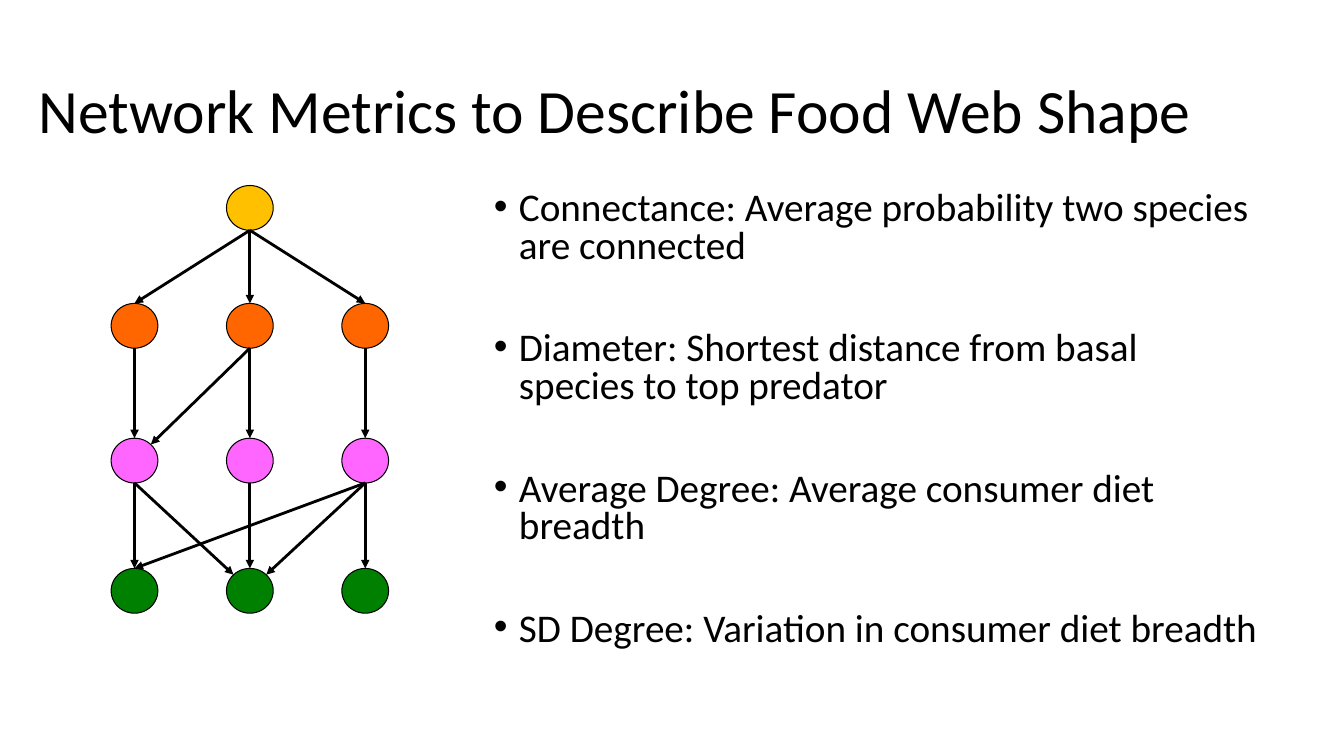
"""Build a slide on network metrics with a food web diagram."""
from lxml import etree
from pptx import Presentation
from pptx.dml.color import RGBColor
from pptx.enum.shapes import MSO_CONNECTOR, MSO_SHAPE
from pptx.enum.text import MSO_ANCHOR, MSO_AUTO_SIZE, PP_ALIGN
from pptx.oxml.ns import qn
from pptx.util import Pt

OVAL = MSO_SHAPE.OVAL
LINE = MSO_CONNECTOR.STRAIGHT
LEFT = PP_ALIGN.LEFT
MIDDLE, TOP = MSO_ANCHOR.MIDDLE, MSO_ANCHOR.TOP
NO_FIT = MSO_AUTO_SIZE.NONE

TITLE = "Network Metrics to Describe Food Web Shape"
METRICS = [
    "Connectance: Average probability two species are connected",
    "Diameter: Shortest distance from basal species to top predator",
    "Average Degree: Average consumer diet breadth",
    "SD Degree: Variation in consumer diet breadth",
]
COLORS = {"ink": "000000", "top": "FFC000", "upper": "FF6600",
          "lower": "FF66FF", "basal": "008000"}
LEVELS = {
    "top": (132.5, [1]),
    "upper": (216.7, [0, 1, 2]),
    "lower": (313, [0, 1, 2]),
    "basal": (406, [0, 1, 2]),
}
LINKS = [
    ("top", 1, "upper", 0, 0), ("top", 1, "upper", 1, 0),
    ("top", 1, "upper", 2, 0),
    ("upper", 0, "lower", 0, 0), ("upper", 1, "lower", 0, 1),
    ("upper", 1, "lower", 1, 0), ("upper", 2, "lower", 2, 0),
    ("lower", 0, "basal", 0, 0), ("lower", 0, "basal", 1, -1),
    ("lower", 1, "basal", 1, 0), ("lower", 2, "basal", 0, 0),
    ("lower", 2, "basal", 1, 1), ("lower", 2, "basal", 2, 0),
]
FONT = "Calibri"
MID_X, STEP = 178.5, 82.4
WIDE, HIGH = 33.4, 32
SIDE_X, SIDE_Y = 11.7, 4.5


def color(name):
    return RGBColor.from_string(COLORS[name])


def center(col):
    return MID_X + (col - 1) * STEP


def style(para, size, spacing):
    para.alignment = LEFT
    para.line_spacing = spacing
    para.font.name = FONT
    para.font.size = Pt(size)
    para.font.color.rgb = color("ink")


def place(shape, left, top, width, height, anchor):
    shape.left, shape.top = Pt(left), Pt(top)
    shape.width, shape.height = Pt(width), Pt(height)
    frame = shape.text_frame
    frame.word_wrap = True
    frame.auto_size = NO_FIT
    frame.vertical_anchor = anchor
    return frame


def add_title(slide):
    frame = place(slide.shapes.title, 20.2, 28.8, 874, 104.4, MIDDLE)
    frame.text = TITLE
    style(frame.paragraphs[0], 44, 0.9)


def add_list(slide):
    box = slide.shapes.add_textbox(0, 0, 0, 0)
    frame = place(box, 345.6, 133.2, 562.3, 342.7, TOP)
    for num, text in enumerate(METRICS):
        para = frame.paragraphs[0] if num == 0 else frame.add_paragraph()
        para.text = text
        props = para._p.get_or_add_pPr()
        props.set("marL", str(Pt(18)))
        props.set("indent", str(-Pt(18)))
        etree.SubElement(props, qn("a:buFont")).set("typeface", "Arial")
        etree.SubElement(props, qn("a:buChar")).set("char", "•")
        style(para, 28, 0.8)
        para.space_before = Pt(46.4 if num else 0)


def add_species(slide, level, col):
    top = LEVELS[level][0]
    dot = slide.shapes.add_shape(
        OVAL, Pt(center(col) - WIDE / 2), Pt(top), Pt(WIDE), Pt(HIGH))
    dot.shadow.inherit = False
    dot.fill.solid()
    dot.fill.fore_color.rgb = color(level)
    dot.line.color.rgb = color("ink")
    dot.line.width = Pt(0.75)


def add_link(slide, start, col, end, goal, side):
    tip_y = LEVELS[end][0] + abs(side) * SIDE_Y
    link = slide.shapes.add_connector(
        LINE, Pt(center(col)), Pt(LEVELS[start][0] + HIGH),
        Pt(center(goal) + side * SIDE_X), Pt(tip_y))
    link.line.color.rgb = color("ink")
    link.line.width = Pt(2)
    etree.SubElement(link.line._ln, qn("a:tailEnd")).set("type", "triangle")
    etree.SubElement(link._element.spPr, qn("a:effectLst"))


def main():
    deck = Presentation()
    deck.slide_width, deck.slide_height = Pt(960), Pt(540)
    slide = deck.slides.add_slide(deck.slide_layouts[5])
    add_title(slide)
    add_list(slide)
    for level, (_, cols) in LEVELS.items():
        for col in cols:
            add_species(slide, level, col)
    for link in LINKS:
        add_link(slide, *link)
    deck.save("out.pptx")


if __name__ == "__main__":
    main()
